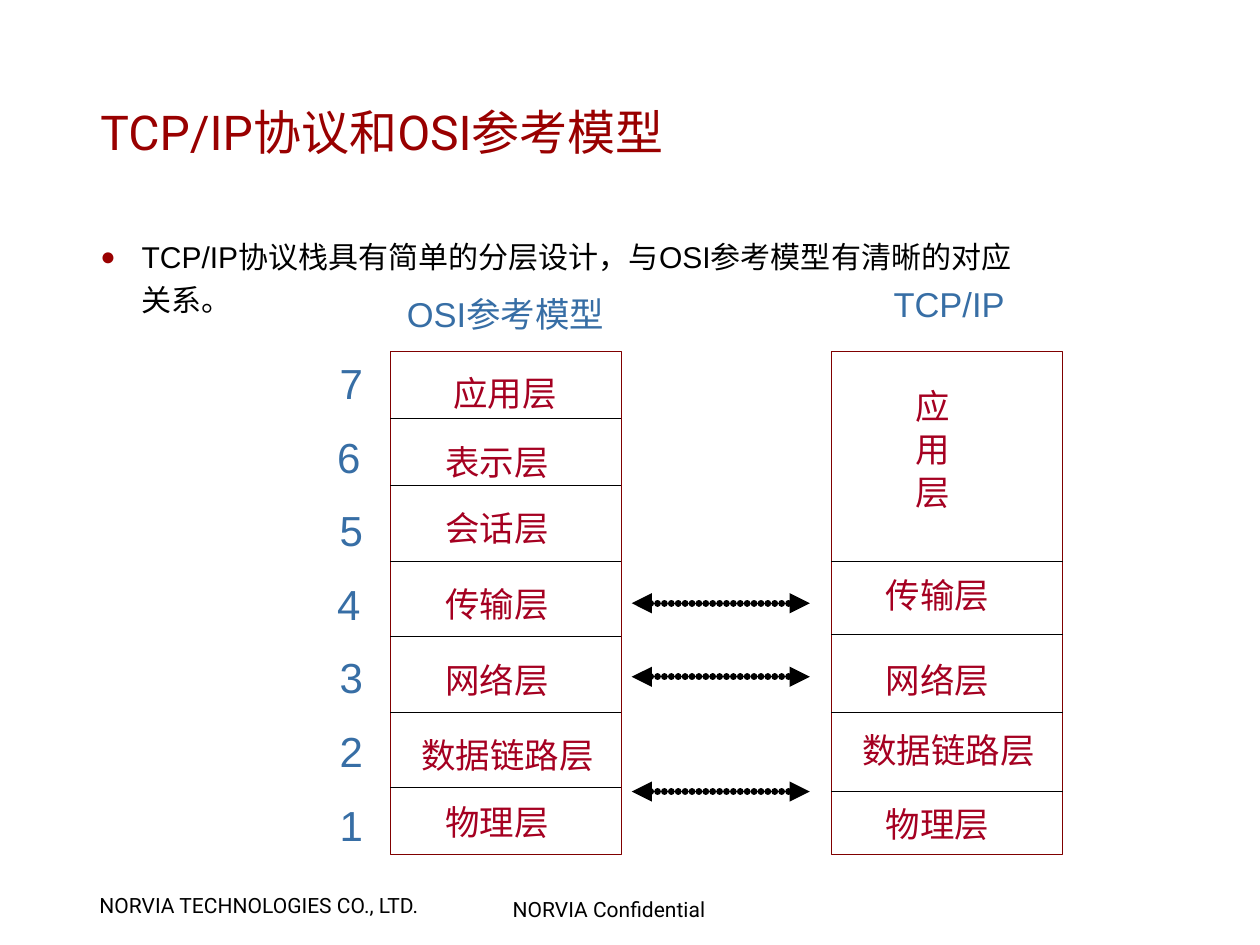
from pptx import Presentation
from pptx.dml.color import RGBColor
from pptx.enum.shapes import MSO_CONNECTOR, MSO_SHAPE
from pptx.enum.text import MSO_ANCHOR, PP_ALIGN
from pptx.oxml import parse_xml
from pptx.oxml.ns import nsdecls, qn
from pptx.util import Cm, Pt

BLACK = RGBColor(0x00, 0x00, 0x00)
RED = RGBColor(0x99, 0x00, 0x00)
WINE = RGBColor(0xA5, 0x00, 0x21)
MAROON = RGBColor(0x80, 0x00, 0x00)
BLUE = RGBColor(0x37, 0x6E, 0xA5)
HAN = "Noto Sans CJK SC"

# Content: lengths in cm, label places are centres
TITLE = "TCP/IP协议和OSI参考模型"
BODY = "TCP/IP协议栈具有简单的分层设计，与OSI参考模型有清晰的对应关系。"
FOOTER = [
    ("NORVIA TECHNOLOGIES CO., LTD.", 2.09, 20.86, 8.56),
    ("NORVIA Confidential", 11.81, 20.96, 5.54),
]
HEADS = [("OSI参考模型", 9.27, 6.75, 5.59), ("TCP/IP", 20.72, 6.5, 3.73)]

TOP, WIDTH, HEIGHT = 8.26, 5.44, 11.85
STACKS = [
    {
        "left": 9.18,
        "rules": [9.84, 11.43, 13.21, 14.98, 16.76, 18.53],
        "labels": [
            ("应用层", 2.7, 9.25), ("表示层", 2.51, 10.85),
            ("会话层", 2.51, 12.42), ("传输层", 2.51, 14.2),
            ("网络层", 2.51, 15.98), ("数据链路层", 2.76, 17.75),
            ("物理层", 2.51, 19.33),
        ],
    },
    {
        "left": 19.56,
        "rules": [13.21, 14.93, 16.76, 18.62],
        "labels": [
            ("应 用 层", 2.36, 10.4), ("传输层", 2.5, 14),
            ("网络层", 2.5, 15.98), ("数据链路层", 2.76, 17.63),
            ("物理层", 2.5, 19.38),
        ],
    },
]
LEVELS = "7654321"
LEVEL_X, LEVEL_Y, LEVEL_STEP = 8.26, 9.01, 1.73
SHIFT = {"6": -0.06, "4": -0.06}
ARROWS, ARROW_X = [14.19, 15.92, 18.62], (14.86, 19.05)

deck = Presentation()
deck.slide_width, deck.slide_height = Cm(29.64), Cm(22.23)
slide = deck.slides.add_slide(deck.slide_layouts[6])
shapes = slide.shapes


def add_text(text, x, y, w, h, size=23, font="Arial", color=BLACK,
             align=PP_ALIGN.LEFT, anchor=MSO_ANCHOR.TOP, wrap=True,
             pad=(0.25, 0.13), vert=None, bullet=False):
    box = shapes.add_textbox(Cm(x), Cm(y), Cm(w), Cm(h))
    frame = box.text_frame
    frame.word_wrap = wrap
    frame.vertical_anchor = anchor
    frame.margin_left = frame.margin_right = Cm(pad[0])
    frame.margin_top = frame.margin_bottom = Cm(pad[1])
    if vert:
        frame._txBody.bodyPr.set("vert", vert)
    para = frame.paragraphs[0]
    para.alignment = align
    if bullet:
        props = para._p.get_or_add_pPr()
        props.set("marL", str(Cm(0.97)))
        props.set("indent", str(-Cm(0.97)))
        para.line_spacing = 1.2
        for item in (f'<a:buClr {nsdecls("a")}><a:srgbClr val="{RED}"/></a:buClr>',
                     f'<a:buSzPct {nsdecls("a")} val="85000"/>',
                     f'<a:buFont {nsdecls("a")} typeface="Arial"/>',
                     f'<a:buChar {nsdecls("a")} char="●"/>'):
            props.append(parse_xml(item))
    run = para.add_run()
    run.text = text
    run.font.size, run.font.name = Pt(size), font
    run.font.color.rgb = color
    east = parse_xml(f'<a:ea {nsdecls("a")} typeface="{HAN}"/>')
    run._r.rPr.find(qn("a:latin")).addnext(east)


def add_label(text, x, y, w=5, h=1.27, **style):
    add_text(text, x - w / 2, y - h / 2, w, h, align=PP_ALIGN.CENTER,
             anchor=MSO_ANCHOR.MIDDLE, **style)


def add_line(x1, x2, y, width=0.75):
    line = shapes.add_connector(MSO_CONNECTOR.STRAIGHT,
                                Cm(x1), Cm(y), Cm(x2), Cm(y))
    line.line.color.rgb, line.line.width = BLACK, Pt(width)
    line._element.spPr.append(parse_xml(f'<a:effectLst {nsdecls("a")}/>'))
    return line.line


def add_arrow(y):
    line = add_line(*ARROW_X, y, width=4.5)
    props = line._get_or_add_ln()
    props.set("cap", "rnd")
    # Round dots that just touch
    props.append(parse_xml(f'<a:custDash {nsdecls("a")}>'
                           '<a:ds d="100000" sp="2000"/></a:custDash>'))
    for end in ("headEnd", "tailEnd"):
        props.append(parse_xml(f'<a:{end} {nsdecls("a")} type="triangle"/>'))


# Footer, title and body
for text, x, y, w in FOOTER:
    add_text(text, x, y, w, 0.84, size=14, font="Roboto", wrap=False)
add_text(TITLE, 2.11, 2.08, 22.2, 2.03, size=32, font="Roboto", color=RED,
         anchor=MSO_ANCHOR.MIDDLE)
add_text(BODY, 2.11, 5.31, 22.2, 2.39, size=20, bullet=True)

# Layer stacks
for stack in STACKS:
    left = stack["left"]
    frame = shapes.add_shape(MSO_SHAPE.RECTANGLE, Cm(left), Cm(TOP),
                             Cm(WIDTH), Cm(HEIGHT))
    frame.shadow.inherit = False
    frame.fill.background()
    frame.line.color.rgb, frame.line.width = MAROON, Pt(0.75)
    for y in stack["rules"]:
        add_line(left, left + WIDTH, y)
    for text, x, y in stack["labels"]:
        tall = {"w": 1.57, "h": 3.1, "vert": "eaVert",
                "wrap": False} if " " in text else {}
        add_label(text, left + x, y, font=HAN, color=WINE,
                  pad=(0.15, 0.3) if tall else (0.3, 0.15), **tall)

# Layer numbers, arrows and headings
for i, text in enumerate(LEVELS):
    add_label(text, LEVEL_X + SHIFT.get(text, 0), LEVEL_Y + i * LEVEL_STEP,
              w=1.14, h=1.47, size=28, color=BLUE, pad=(0.3, 0.15))
for y in ARROWS:
    add_arrow(y)
for text, x, y, w in HEADS:
    add_text(text, x, y, w, 1.27, color=BLUE, pad=(0.3, 0.15))

deck.save("out.pptx")
